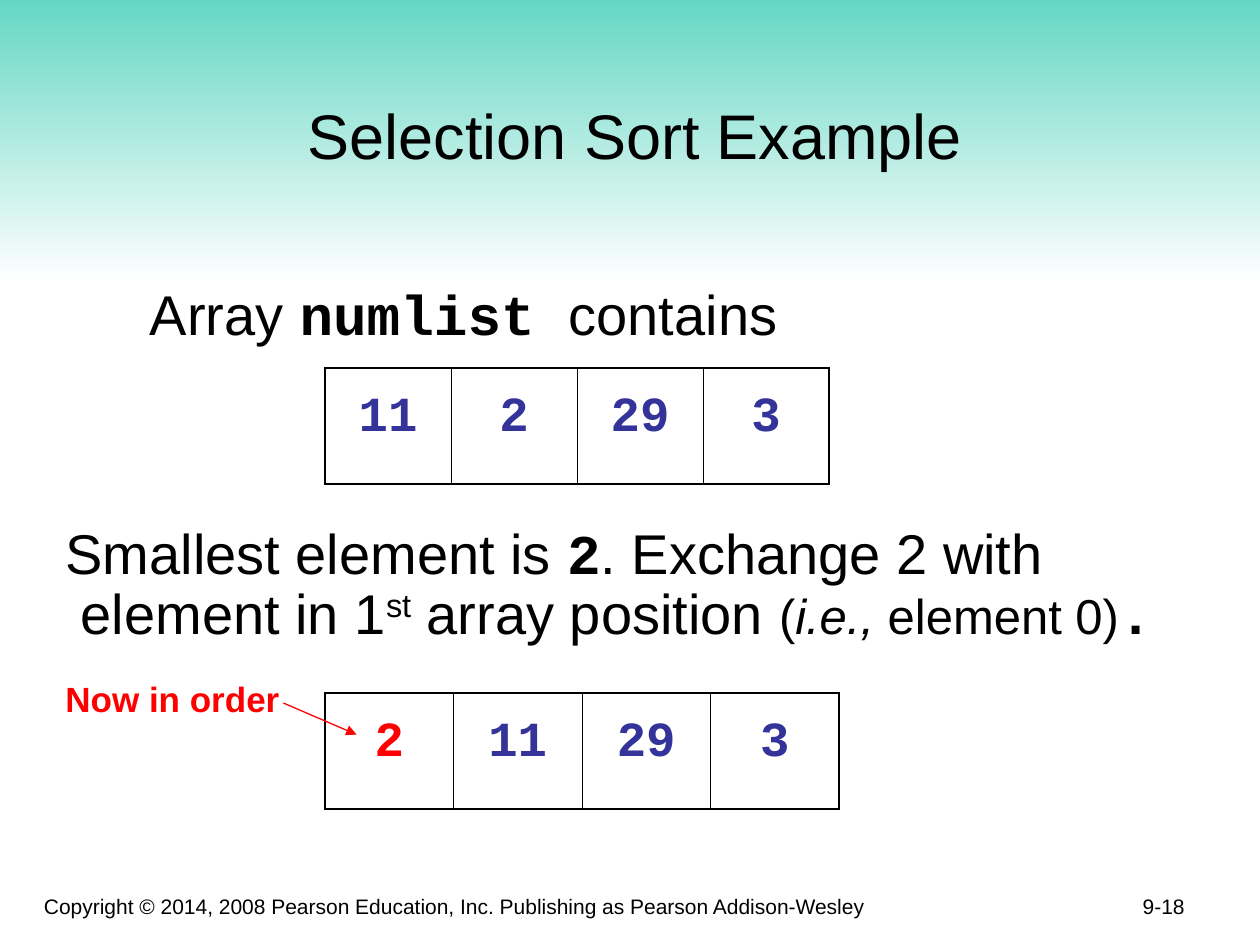
from lxml import etree
from pptx import Presentation
from pptx.dml.color import RGBColor
from pptx.enum.shapes import MSO_CONNECTOR, MSO_SHAPE
from pptx.enum.text import MSO_ANCHOR, MSO_AUTO_SIZE, PP_ALIGN
from pptx.oxml.ns import qn
from pptx.util import Emu, Pt

LEFT, CENTER, RIGHT = PP_ALIGN.LEFT, PP_ALIGN.CENTER, PP_ALIGN.RIGHT
TOP, BOTTOM = MSO_ANCHOR.TOP, MSO_ANCHOR.BOTTOM
STRAIGHT, RECTANGLE = MSO_CONNECTOR.STRAIGHT, MSO_SHAPE.RECTANGLE
NO_FIT = MSO_AUTO_SIZE.NONE
SANS, MONO = "Arial", "Courier New"
BLACK, RED, NAVY = "000000", "FF0000", "333399"
SANS_32 = {"name": SANS, "size": Pt(32)}
SANS_28 = {"name": SANS, "size": Pt(28)}
MONO_32 = {"name": MONO, "size": Pt(32), "bold": True}
MONO_28 = {"name": MONO, "size": Pt(28), "bold": True}


def px(n):
    """Turn px, 100 to the inch, into EMU."""
    return Emu(n * 9144)


def rgb(value):
    """Return the colour of a hex string."""
    return RGBColor.from_string(value)


def apply(target, values):
    """Set each attribute named in a dict."""
    for name, value in values.items():
        setattr(target, name, value)


def place(sp, box):
    """Move a shape to a box of left, top, width and height."""
    apply(sp, dict(zip(("left", "top", "width", "height"), map(px, box))))


def add_run(p, text, font, color=BLACK):
    """Add a formatted run to a paragraph."""
    r = p.add_run()
    r.text = text
    apply(r.font, font)
    r.font.color.rgb = rgb(color)
    return r


def add_band(s, box):
    """Draw the gradient band behind everything else."""
    sp = s.shapes.add_shape(RECTANGLE, *map(px, box))
    sp.shadow.inherit = False
    sp.line.fill.background()
    sp.fill.gradient()
    sp.fill.gradient_angle = 270
    for stop, color in zip(sp.fill.gradient_stops, ("5FD6C2", "FFFFFF")):
        stop.color.rgb = rgb(color)
    sp._element.getparent().insert(2, sp._element)


def fill_title(sp, box, text):
    """Place and write the title."""
    place(sp, box)
    tf = sp.text_frame
    apply(tf, {"vertical_anchor": BOTTOM, "auto_size": NO_FIT})
    p = tf.paragraphs[0]
    p.alignment = CENTER
    add_run(p, text, {"name": SANS, "size": Pt(36)})


def fill_body(sp, box, lines):
    """Place the body and write its lines of indent, format and runs."""
    place(sp, box)
    tf = sp.text_frame
    apply(tf, {"auto_size": NO_FIT, "vertical_anchor": TOP, "margin_right": 0})
    for i, (indent, fmt, runs) in enumerate(lines):
        p = tf.add_paragraph() if i else tf.paragraphs[0]
        pPr = p._p.get_or_add_pPr()
        pPr.set("marL", str(px(indent)))
        pPr.set("indent", "0")
        etree.SubElement(pPr, qn("a:buNone"))
        apply(p, {"space_before": Pt(0), **fmt})
        for text, font in runs:
            r = add_run(p, text, font)
            if text == "st":
                r.font._element.set("baseline", "30000")


def add_label(s, box, text, font, color=BLACK, anchor=BOTTOM, align=LEFT):
    """Add a one-line text box."""
    tf = s.shapes.add_textbox(*map(px, box)).text_frame
    apply(tf, {"word_wrap": True, "vertical_anchor": anchor})
    p = tf.paragraphs[0]
    p.alignment = align
    add_run(p, text, font, color)


def set_borders(cell, widths):
    """Draw black cell borders from a dict of side and points."""
    tcPr = cell._tc.get_or_add_tcPr()
    for i, (side, width) in enumerate(widths.items()):
        ln = etree.Element(qn(f"a:ln{side}"), w=str(Pt(width)))
        fill = etree.SubElement(ln, qn("a:solidFill"))
        etree.SubElement(fill, qn("a:srgbClr"), val=BLACK)
        tcPr.insert(i, ln)


def add_array(s, box, values, first_color=NAVY):
    """Draw an array as a one-row table."""
    n = len(values)
    table = s.shapes.add_table(1, n, *map(px, box)).table
    apply(table, {"first_row": False, "horz_banding": False})
    for i, value in enumerate(values):
        cell = table.cell(0, i)
        cell.fill.background()
        set_borders(cell, {"L": 0.45 if i else 1.08,
                           "R": 0.45 if i < n - 1 else 1.08,
                           "T": 1.08, "B": 1.08})
        p = cell.text_frame.paragraphs[0]
        apply(p, {"alignment": CENTER, "line_spacing": 1.3})
        add_run(p, value, MONO_28, NAVY if i else first_color)


def add_arrow(s, start, end):
    """Draw a red arrow between two points."""
    line = s.shapes.add_connector(STRAIGHT, *map(px, start + end))
    apply(line.line, {"width": Pt(0.75)})
    line.line.color.rgb = rgb(RED)
    etree.SubElement(line.line._get_or_add_ln(), qn("a:tailEnd"), type="triangle")
    etree.SubElement(line._element.spPr, qn("a:effectLst"))


def main():
    """Build the slide and save it."""
    prs = Presentation()
    apply(prs, {"slide_width": px(1000), "slide_height": px(750)})
    s = prs.slides.add_slide(prs.slide_layouts[1])
    title, body = s.placeholders
    add_band(s, (0, -8, 1000, 233))
    fill_title(title, (33, 33, 942, 109), "Selection Sort Example")
    fill_body(body, (42, 217, 925, 450), [
        (67, {}, [("Array ", SANS_32), ("numlist ", MONO_32),
                  ("contains", SANS_32)]),
        (0, {"space_before": Pt(98)},
         [("Smallest element is ", SANS_32), ("2", MONO_32),
          (". Exchange 2 with", SANS_32)]),
        (12, {"line_spacing": 0.9},
         [("element in 1", SANS_32), ("st", SANS_32),
          (" array position ", SANS_32), ("(", SANS_28),
          ("i.e.,", {**SANS_28, "italic": True}),
          (" element 0)", SANS_28), (".", MONO_32)]),
    ])
    add_array(s, (258, 292, 400, 92), ("11", "2", "29", "3"))
    add_array(s, (258, 550, 408, 92), ("2", "11", "29", "3"), RED)
    add_label(s, (42, 533, 208, 44), "Now in order",
              {"name": SANS, "size": Pt(20), "bold": True}, RED, TOP)
    add_arrow(s, (225, 558), (283, 583))
    small = {"name": SANS, "size": Pt(12)}
    add_label(s, (25, 692, 675, 42), "Copyright © 2014, 2008 Pearson Education, "
              "Inc. Publishing as Pearson Addison-Wesley", small)
    add_label(s, (742, 684, 208, 50), "9-18", small, align=RIGHT)
    prs.save("out.pptx")


if __name__ == "__main__":
    main()
